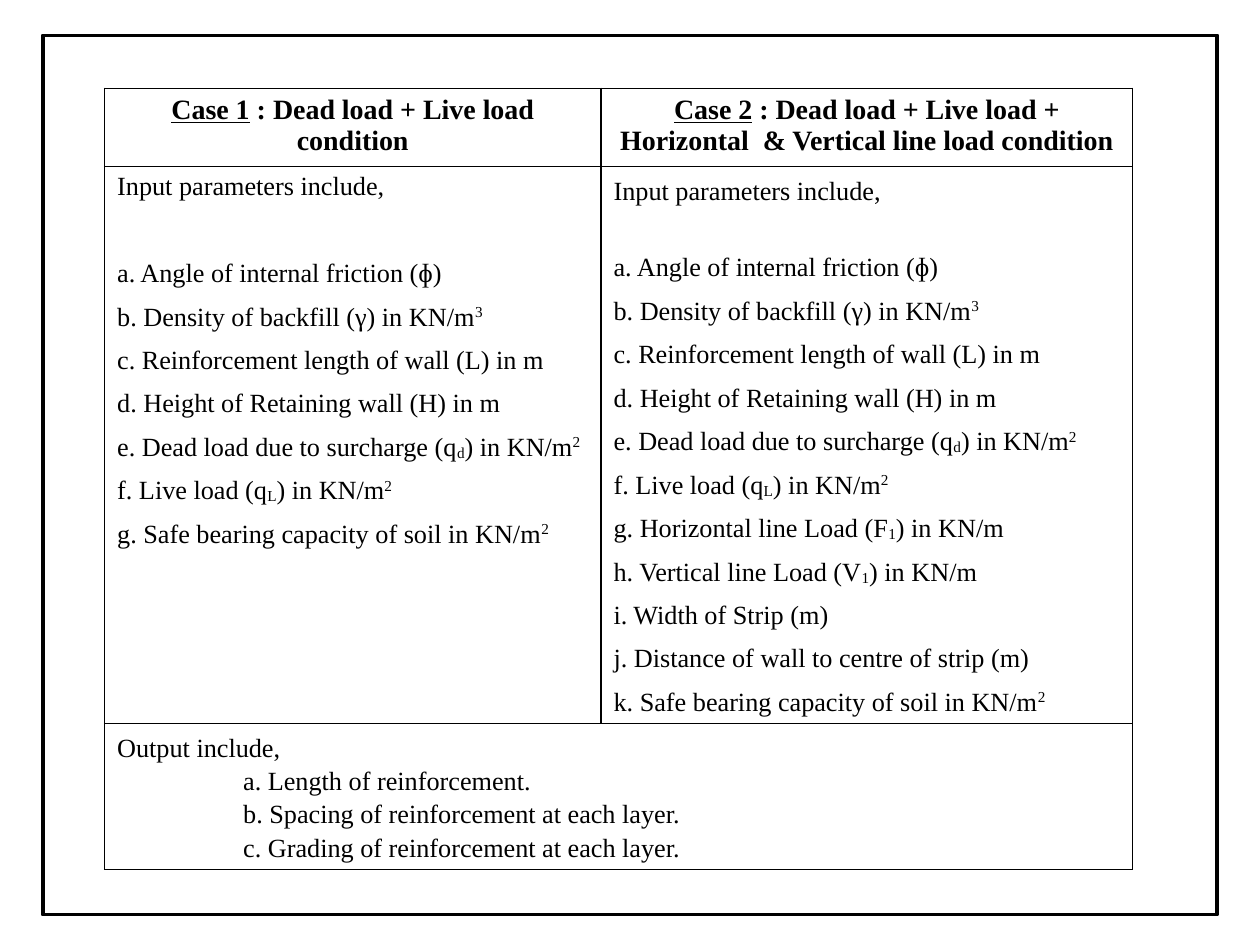
from lxml import etree
from pptx import Presentation
from pptx.dml.color import RGBColor
from pptx.enum.shapes import MSO_SHAPE
from pptx.enum.text import PP_ALIGN
from pptx.oxml.ns import qn
from pptx.util import Inches, Pt

RECT = MSO_SHAPE.RECTANGLE
LEFT, CENTER, JUSTIFY = PP_ALIGN.LEFT, PP_ALIGN.CENTER, PP_ALIGN.JUSTIFY
FONT = "Times New Roman"
BLACK = "000000"
SHIFTS = {"^": "33000", "_": "-8000"}

INTRO = "Input parameters include,"
SHARED = [
    "a. Angle of internal friction (ɸ)",
    "b. Density of backfill (γ) in KN/m^3",
    "c. Reinforcement length of wall (L) in m",
    "d. Height of Retaining wall (H) in m",
    "e. Dead load due to surcharge (q_d) in KN/m^2",
    "f. Live load (q_L) in KN/m^2",
]
SAFE = "Safe bearing capacity of soil in KN/m^2"
CASE1 = SHARED + ["g. " + SAFE]
CASE2 = SHARED + [
    "g. Horizontal line Load (F_1) in KN/m",
    "h. Vertical line Load (V_1) in KN/m",
    "i. Width of Strip (m)",
    "j. Distance of wall to centre of strip (m)",
    "k. " + SAFE,
]
OUTPUT = [
    "a. Length of reinforcement.",
    "b. Spacing of reinforcement at each layer.",
    "c. Grading of reinforcement at each layer.",
]
HEADS = [
    ("Case 1", " : Dead load + Live load condition"),
    ("Case 2", " : Dead load + Live load + Horizontal  & Vertical line load condition"),
]


def color(code):
    return RGBColor.from_string(code)


def style(para, size, align=LEFT, space=1.0, bold=False):
    para.alignment = align
    para.line_spacing = space
    font = para.font
    font.name, font.size, font.bold = FONT, Pt(size), bold
    font.color.rgb = color(BLACK)


def write(para, text):
    """Add runs; ^ raises and _ lowers the one character that follows."""
    part, shift = "", None

    def flush():
        if part:
            run = para.add_run()
            run.text = part
            if shift:
                run.font._element.set("baseline", shift)

    for char in text:
        if char in SHIFTS:
            flush()
            part, shift = "", SHIFTS[char]
        else:
            if shift and part:
                flush()
                part, shift = "", None
            part += char
    flush()


def add_line(cell, text, **look):
    frame = cell.text_frame
    para = frame.paragraphs[0]
    if para.runs:
        para = frame.add_paragraph()
    style(para, 15, **look)
    write(para, text)
    return para


def fill_head(cell, label, rest):
    para = cell.text_frame.paragraphs[0]
    style(para, 16, CENTER, bold=True)
    run = para.add_run()
    run.text = label
    run.font.underline = True
    para.add_run().text = rest


def fill_case(cell, items, align, lead, first, gap):
    """lead and first are the line spacings of the intro and the first item."""
    add_line(cell, INTRO, align=align, space=lead)
    for i, item in enumerate(items):
        para = add_line(cell, item, align=align, space=1.5 if i else first)
        if i == 0:
            para.space_before = Pt(gap)


def fill_output(cell):
    add_line(cell, "Output include,", space=1.15)
    for item in OUTPUT:
        para = add_line(cell, item, space=1.15)
        para._p.get_or_add_pPr().set("marL", str(Inches(1)))


def rule_cell(cell):
    props = cell._tc.get_or_add_tcPr()
    for side in ("lnL", "lnR", "lnT", "lnB"):
        line = etree.SubElement(props, qn("a:" + side), w=str(Pt(0.85)))
        fill = etree.SubElement(line, qn("a:solidFill"))
        etree.SubElement(fill, qn("a:srgbClr"), val=BLACK)
    cell.fill.background()


def add_frame(slide, left, top, width, height):
    box = slide.shapes.add_shape(RECT, left, top, width, height)
    box.shadow.inherit = False
    box.fill.background()
    box.line.color.rgb = color(BLACK)
    box.line.width = Pt(2)


def add_cases(slide, left, top, widths, heights):
    shape = slide.shapes.add_table(
        len(heights), len(widths), left, top, sum(widths), sum(heights))
    table = shape.table
    table.first_row = table.horz_banding = False
    for col, width in zip(table.columns, widths):
        col.width = width
    for row, height in zip(table.rows, heights):
        row.height = height
    for cell in table.iter_cells():
        rule_cell(cell)
    table.cell(2, 0).merge(table.cell(2, 1))
    for i, head in enumerate(HEADS):
        fill_head(table.cell(0, i), *head)
    fill_case(table.cell(1, 0), CASE1, JUSTIFY, 1.0, 1.0, 33)
    fill_case(table.cell(1, 1), CASE2, LEFT, 1.15, 1.5, 19)
    fill_output(table.cell(2, 0))


def main():
    deck = Presentation()
    deck.slide_width, deck.slide_height = Inches(10), Inches(7.5)
    slide = deck.slides.add_slide(deck.slide_layouts[6])
    add_frame(slide, Inches(0.34), Inches(0.28), Inches(9.32), Inches(6.98))
    add_cases(slide, Inches(0.83), Inches(0.7),
              [Inches(3.94), Inches(4.22)],
              [Inches(0.62), Inches(4.42), Inches(1.16)])
    deck.save("out.pptx")


if __name__ == "__main__":
    main()
